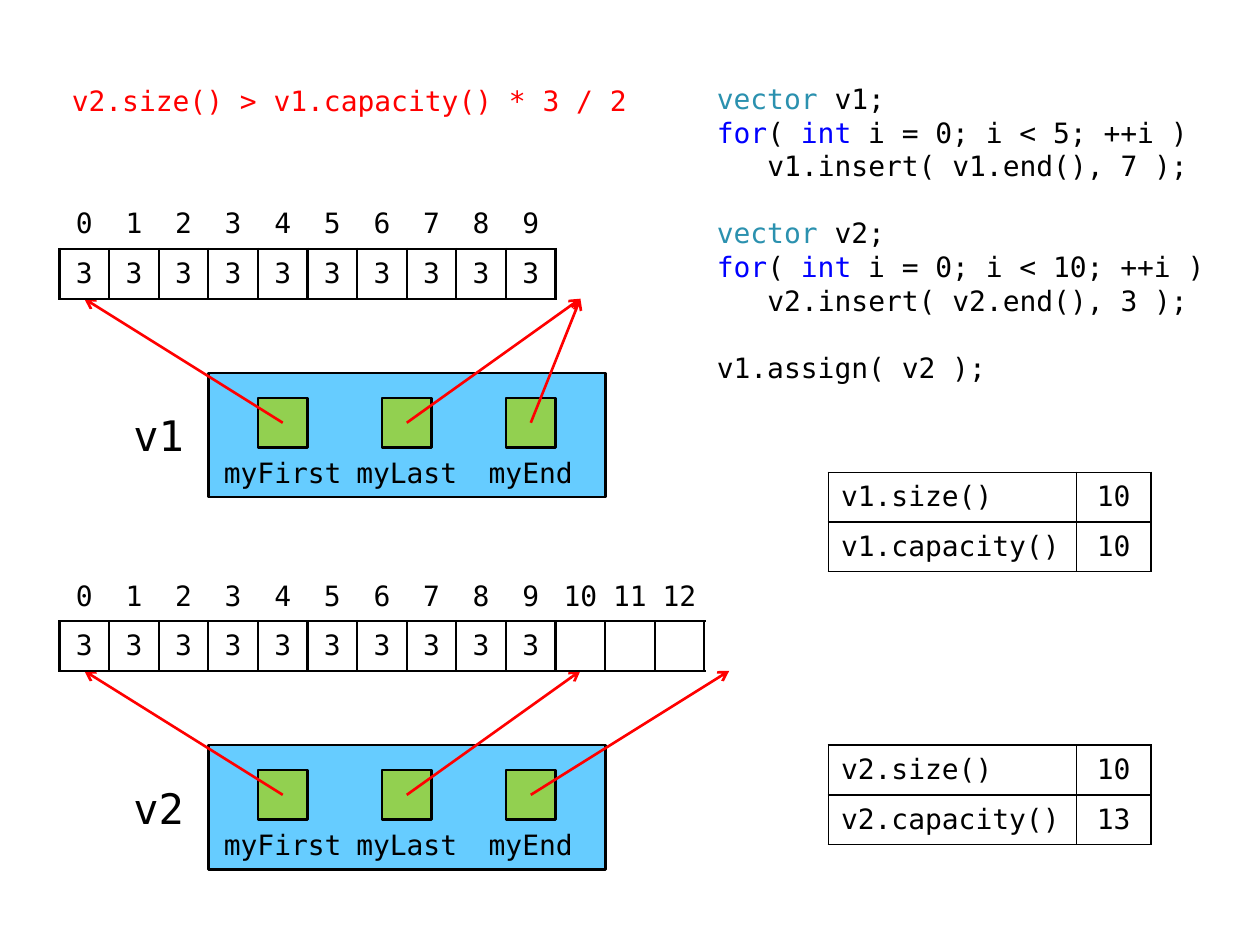
from lxml.etree import SubElement
from pptx import Presentation
from pptx.dml.color import RGBColor
from pptx.enum.shapes import MSO_CONNECTOR, MSO_SHAPE
from pptx.enum.text import MSO_ANCHOR, PP_ALIGN
from pptx.oxml.ns import qn
from pptx.util import Pt

COLORS = {
    "black": "000000", "red": "FF0000", "type": "2B91AF", "keyword": "0000FF",
    "object": "66CCFF", "pointer": "92D050",
}
UNIT = 28.35
LEFT, TOP = 34, 114
CODE_LEADING = 19.2
CODE_INDENT = 28.9
ARRAY_MARGINS = (4.25, 2.83)
RESULT_MARGINS = (7.2, 2.83)


def loop_code(name, count, value):
    return [
        [("vector ", "type"), (f"{name};", "black")],
        [("for", "keyword"), ("( ", "black"), ("int", "keyword"),
         (f" i = 0; i < {count}; ++i )", "black")],
        [(f"{name}.insert( {name}.end(), {value} );", "black")],
    ]


class SlidePainter:
    """Draws styled elements on a slide, placed by grid column and row."""

    font = "DejaVu Sans Mono"
    size = 16
    line = 1.5

    def __init__(self, slide):
        self.slide = slide

    def color(self, name):
        return RGBColor.from_string(COLORS[name])

    def place(self, column, row, width, height):
        return (Pt(LEFT + column * UNIT), Pt(TOP + row * UNIT),
                Pt(width * UNIT), Pt(height * UNIT))

    def format_span(self, span, color="black", size=None):
        span.font.name = self.font
        span.font.size = Pt(size or self.size)
        span.font.bold = False
        span.font.color.rgb = self.color(color)

    def fill_text(self, frame, text, align=PP_ALIGN.CENTER, color="black", size=None):
        frame.text = text
        para = frame.paragraphs[0]
        para.alignment = align
        for span in para.runs:
            self.format_span(span, color, size)

    def text(self, area, text, align=PP_ALIGN.CENTER, color="black", size=None):
        frame = self.slide.shapes.add_textbox(*self.place(*area)).text_frame
        frame.word_wrap = True
        frame.vertical_anchor = MSO_ANCHOR.MIDDLE
        self.fill_text(frame, text, align, color, size)

    def code(self, area, blocks):
        frame = self.slide.shapes.add_textbox(*self.place(*area)).text_frame
        frame.word_wrap = True
        para = None
        for block in blocks:
            for number, spans in enumerate(block):
                gap = para is not None and number == 0
                para = frame.add_paragraph() if para is not None else frame.paragraphs[0]
                para.line_spacing = Pt(CODE_LEADING)
                para.space_before = Pt(CODE_LEADING if gap else 0)
                if number == 2:
                    para._p.get_or_add_pPr().set("marL", str(Pt(CODE_INDENT)))
                for text, color in spans:
                    span = para.add_run()
                    span.text = text
                    self.format_span(span, color)

    def shape(self, kind, area, fill=None, text=""):
        box = self.slide.shapes.add_shape(kind, *self.place(*area))
        box.shadow.inherit = False
        if fill:
            box.fill.solid()
            box.fill.fore_color.rgb = self.color(fill)
            box.line.color.rgb = self.color("black")
            box.line.width = Pt(self.line)
        else:
            box.fill.background()
            box.line.fill.background()
        if text:
            box.text_frame.vertical_anchor = MSO_ANCHOR.MIDDLE
            self.fill_text(box.text_frame, text)

    def arrow(self, start, end):
        points = self.place(*start, 0, 0)[:2] + self.place(*end, 0, 0)[:2]
        arrow = self.slide.shapes.add_connector(MSO_CONNECTOR.STRAIGHT, *points)
        arrow.line.color.rgb = self.color("red")
        arrow.line.width = Pt(self.line)
        properties = arrow._element.spPr
        SubElement(properties.find(qn("a:ln")), qn("a:tailEnd"), type="arrow")
        SubElement(properties, qn("a:effectLst"))

    def border(self, cell, sides, width):
        properties = cell._tc.get_or_add_tcPr()
        for side in "LRTB":
            visible = side in sides
            edge = SubElement(properties, qn(f"a:ln{side}"), w=str(Pt(width)))
            fill = SubElement(edge, qn("a:solidFill" if visible else "a:noFill"))
            if visible:
                SubElement(fill, qn("a:srgbClr"), val=COLORS["black"])

    def table(self, column, row, widths, rows, margins, line, aligns, header=False):
        area = self.place(column, row, sum(widths), len(rows))
        table = self.slide.shapes.add_table(len(rows), len(widths), *area).table
        table.first_row = table.horz_banding = False
        for grid_column, width in zip(table.columns, widths):
            grid_column.width = Pt(width * UNIT)
        for r, values in enumerate(rows):
            table.rows[r].height = Pt(UNIT)
            for c, value in enumerate(values):
                cell = table.cell(r, c)
                cell.margin_left = cell.margin_right = Pt(margins[0])
                cell.margin_top = cell.margin_bottom = Pt(margins[1])
                cell.vertical_anchor = MSO_ANCHOR.MIDDLE
                self.border(cell, "B" if header and r == 0 else "LRTB", line)
                cell.fill.background()
                self.fill_text(cell.text_frame, str(value), aligns[c])

    def array(self, row, used, capacity):
        rows = [range(capacity), [3] * used + [""] * (capacity - used)]
        self.table(0, row, [1] * capacity, rows, ARRAY_MARGINS, self.line,
                   [PP_ALIGN.CENTER] * capacity, header=True)

    def results(self, row, name, used, capacity):
        rows = [(f"{name}.size()", used), (f"{name}.capacity()", capacity)]
        self.table(15.5, row, [5, 1.5], rows, RESULT_MARGINS, 1,
                   [PP_ALIGN.LEFT, PP_ALIGN.CENTER])

    def vector(self, row, name, used, capacity):
        self.text((1, row + 4, 2, 1.5), name, size=24)
        self.shape(MSO_SHAPE.FLOWCHART_PROCESS, (3, row + 3.5, 8, 2.5), "object")
        targets = {"myFirst": 0, "myLast": used, "myEnd": capacity}
        for index, (label, target) in enumerate(targets.items()):
            column = 3 + 2.5 * index
            self.shape(MSO_SHAPE.FLOWCHART_PROCESS, (column, row + 5, 3, 1), text=label)
            self.shape(MSO_SHAPE.RECTANGLE, (column + 1, row + 4, 1, 1), "pointer")
            self.arrow((column + 1.5, row + 4.5), (target + 0.5, row + 2))
        self.array(row, used, capacity)


def main():
    deck = Presentation()
    deck.slide_width, deck.slide_height = Pt(720), Pt(540)
    page = SlidePainter(deck.slides.add_slide(deck.slide_layouts[6]))
    page.code((13, -2.5, 10.5, 6.5), [
        loop_code("v1", 5, 7),
        loop_code("v2", 10, 3),
        [[("v1.assign( v2 );", "black")]],
    ])
    page.text((0, -2.5, 12, 1), "v2.size() > v1.capacity() * 3 / 2",
              PP_ALIGN.LEFT, "red")
    for name, row, results_row, capacity in (("v1", 0, 5.5, 10),
                                             ("v2", 7.5, 11, 13)):
        page.vector(row, name, 10, capacity)
        page.results(results_row, name, 10, capacity)
    deck.save("out.pptx")


if __name__ == "__main__":
    main()
